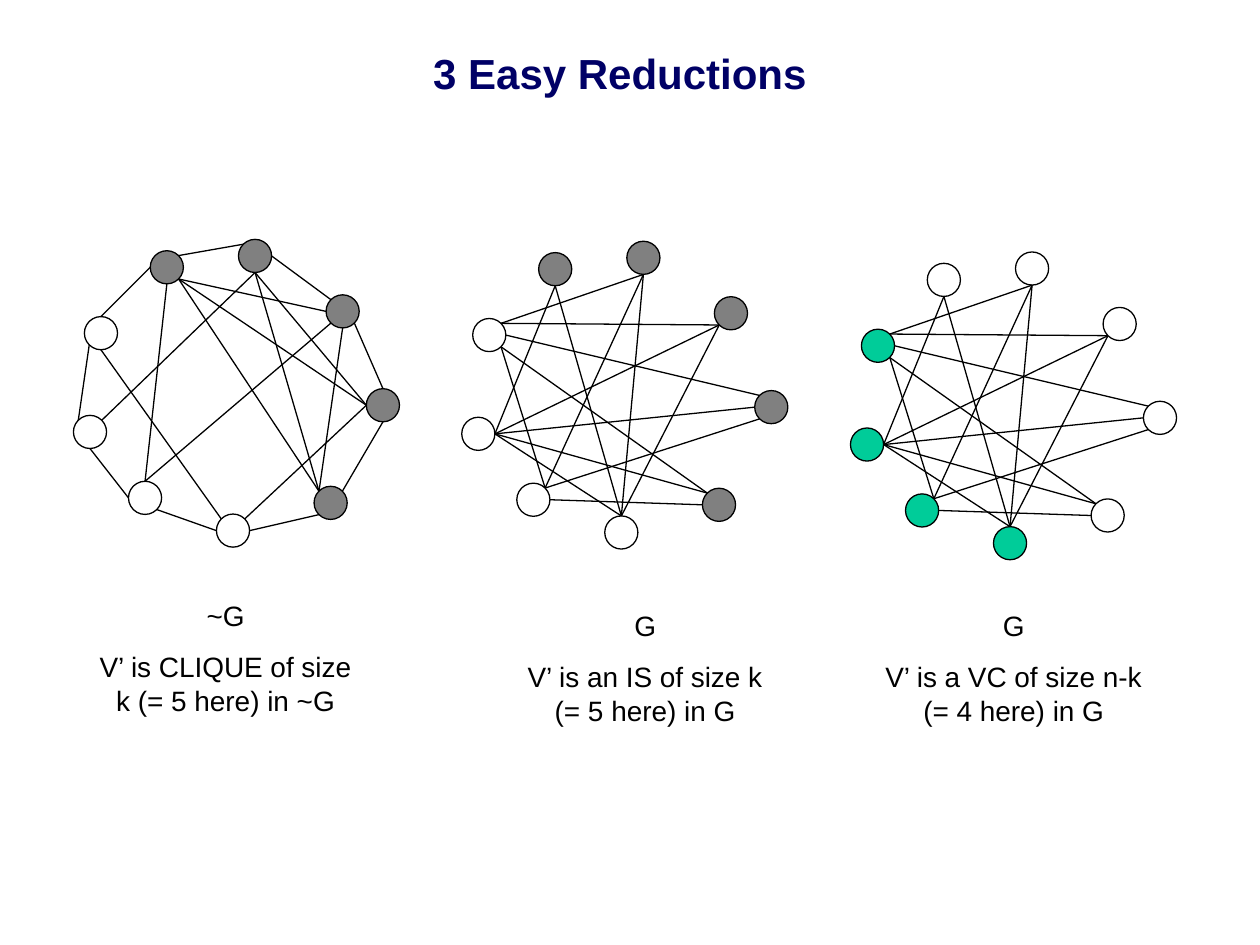
import pptx
import pptx.util
import pptx.dml.color
import pptx.enum.shapes
import pptx.enum.text
import lxml.etree

BLACK = pptx.dml.color.RGBColor(0x00, 0x00, 0x00)
WHITE = pptx.dml.color.RGBColor(0xFF, 0xFF, 0xFF)
GRAY = pptx.dml.color.RGBColor(0x80, 0x80, 0x80)
GREEN = pptx.dml.color.RGBColor(0x00, 0xCC, 0x99)
NAVY = pptx.dml.color.RGBColor(0x00, 0x00, 0x66)

prs = pptx.Presentation()
prs.slide_width = pptx.util.Inches(10)
prs.slide_height = pptx.util.Inches(7.5)
s = prs.slides.add_slide(prs.slide_layouts[6])
COL = prs.slide_width / 100
ROW = prs.slide_height / 75


def box(x, y, w, h):
    return [round(v) for v in (x * COL, y * ROW, w * COL, h * ROW)]


def add_text(area, lines, size, color, bold=False):
    sp = s.shapes.add_textbox(*box(*area))
    tf = sp.text_frame
    tf.word_wrap = True
    tf.margin_left = tf.margin_right = tf.margin_top = tf.margin_bottom = 0
    for i, line in enumerate(lines):
        p = tf.paragraphs[0] if i == 0 else tf.add_paragraph()
        p.alignment = pptx.enum.text.PP_ALIGN.CENTER
        if i:
            p.space_before = pptx.util.Pt(10)
        r = p.add_run()
        r.text = line
        r.font.name = "Arial"
        r.font.size = pptx.util.Pt(size)
        r.font.bold = bold
        r.font.color.rgb = color
    return tf


tf = add_text((6.7, 3.3, 85, 5), ["3 Easy Reductions"], 24, NAVY, True)
tf.vertical_anchor = pptx.enum.text.MSO_ANCHOR.MIDDLE

SIZE = 2.63
DIAG = 0.5 ** 0.5
SITES = {
    "N": (0, -1), "NE": (DIAG, -DIAG), "E": (1, 0), "SE": (DIAG, DIAG),
    "S": (0, 1), "SW": (-DIAG, DIAG), "W": (-1, 0), "NW": (-DIAG, -DIAG),
}
NODES = {
    "A": (6.1, 0.9), "B": (0.87, 6.13), "C": (0, 13.97), "D": (11.35, 21.8),
    "E": (13.1, 0), "F": (20.05, 4.4), "G": (19.1, 19.6), "H": (23.25, 11.85),
    "I": (4.37, 19.2),
}
CLIQUE_SET = "AEFGH"
COVER_SET = "BCDI"

COMPLEMENT_EDGES = (
    "I.SE-D.W D.E-G.SW G.NE-H.S H.N-F.SE F.NW-E.E E.NW-A.NE A.W-B.N "
    "B.SW-C.NW C.S-I.W B.S-D.NW E.S-C.NE I.N-F.SW F.W-A.SE D.NE-H.W "
    "G.NW-A.SE G.NW-E.S G.NW-F.S E.S-H.W H.W-A.SE I.N-A.S"
)
GRAPH_EDGES = (
    "B.NE-E.S B.NE-F.SW B.E-H.NW B.SE-G.NW B.SE-I.NE A.S-C.E C.E-F.SW "
    "C.E-H.W C.E-G.NW C.E-D.N I.NE-E.S I.NE-H.SW I.E-G.W A.S-D.N "
    "D.N-E.S D.N-F.SW"
)

PANELS = [
    (5.83, 19, COMPLEMENT_EDGES, CLIQUE_SET, GRAY, (7.5, 47.5, 20.8, 9.4),
     ["~G", "V’ is CLIQUE of size k (= 5 here) in ~G"]),
    (36.65, 19.15, GRAPH_EDGES, CLIQUE_SET, GRAY, (40.8, 48.3, 20.8, 9.4),
     ["G", "V’ is an IS of size k (= 5 here) in G"]),
    (67.5, 20, GRAPH_EDGES, COVER_SET, GREEN, (69.2, 48.3, 22.5, 9.4),
     ["G", "V’ is a VC of size n-k (= 4 here) in G"]),
]

for left, top, edges, chosen, color, area, lines in PANELS:
    for name, (dx, dy) in NODES.items():
        sp = s.shapes.add_shape(pptx.enum.shapes.MSO_SHAPE.OVAL,
                                *box(left + dx, top + dy, SIZE, SIZE))
        sp.shadow.inherit = False
        sp.fill.solid()
        sp.fill.fore_color.rgb = color if name in chosen else WHITE
        sp.line.color.rgb = BLACK
        sp.line.width = pptx.util.Pt(0.75)
    for edge in edges.split():
        ends = []
        for end in edge.split("-"):
            name, site = end.split(".")
            ends += [o + d + SIZE / 2 * (1 + u) for o, d, u
                     in zip((left, top), NODES[name], SITES[site])]
        cx = s.shapes.add_connector(pptx.enum.shapes.MSO_CONNECTOR.STRAIGHT, *box(*ends))
        cx.line.color.rgb = BLACK
        cx.line.width = pptx.util.Pt(0.75)
        lxml.etree.SubElement(cx._element.spPr, pptx.oxml.ns.qn("a:effectLst"))
    add_text(area, lines, 16, BLACK)

prs.save("out.pptx")
